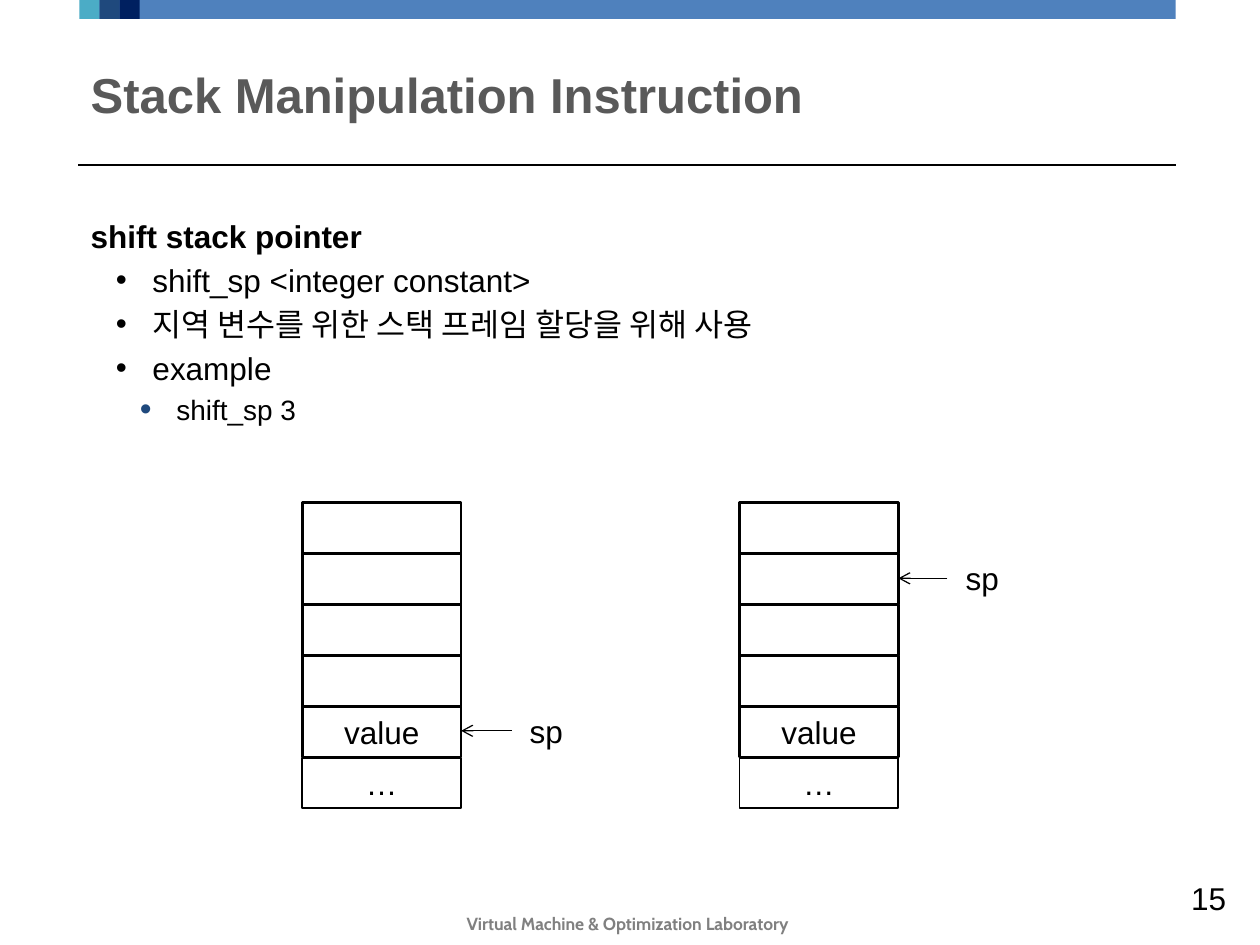
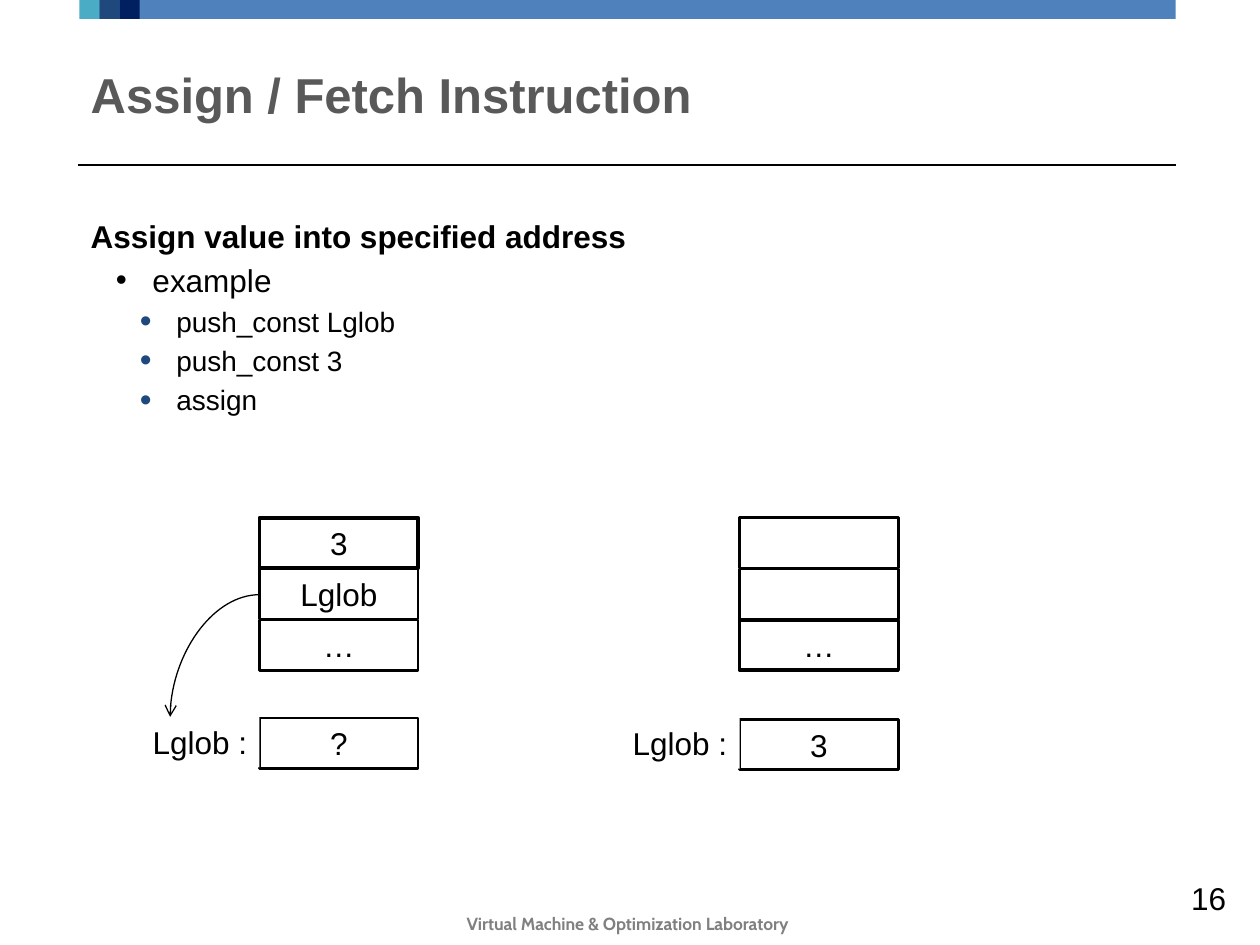
"""Build two slides on stack instructions, each with a list and stack diagrams."""
from dataclasses import dataclass

from lxml import etree
from pptx import Presentation
from pptx import util as u
from pptx.dml.color import RGBColor
from pptx.enum import shapes, text
from pptx.oxml import ns

BLACK = RGBColor(0x00, 0x00, 0x00)
WHITE = RGBColor(0xFF, 0xFF, 0xFF)
TITLE_GRAY = RGBColor(0x59, 0x59, 0x59)
FOOTER_GRAY = RGBColor(0x80, 0x80, 0x80)
BAND_BLUE = RGBColor(0x4F, 0x81, 0xBD)
TEAL = RGBColor(0x4B, 0xAC, 0xC6)
BLUE = RGBColor(0x1F, 0x49, 0x7D)
NAVY = RGBColor(0x00, 0x20, 0x60)

BODY_FONT, FOOTER_FONT = "Arial", "Cabin"
COLUMNS = 100
MARGIN, CONTENT_WIDTH = 6.2, 87.1
BAND_TOP, BAND_SIZE = -0.1, 1.6
CELL_WIDTH, CELL_HEIGHT, CELL_PITCH = 12.6, 4, 4.05
LEFT, CENTER, RIGHT = text.PP_ALIGN.LEFT, text.PP_ALIGN.CENTER, text.PP_ALIGN.RIGHT

presentation = Presentation()
presentation.slide_width, presentation.slide_height = u.Inches(10), u.Inches(7.5)
UNIT = presentation.slide_width / COLUMNS


@dataclass(frozen=True)
class Level:
    """Look of one list level, with lengths in grid columns."""
    margin: float
    indent: float
    size: int
    bold: bool = False
    bullet_color: RGBColor | None = None
    bullet_percent: int = 100


@dataclass(frozen=True)
class Cell:
    """One cell of a stack."""
    label: str = ""
    weight: float = 1.5


@dataclass(frozen=True)
class Stack:
    """Cells listed from top to bottom."""
    left: float
    top: float
    cells: tuple[Cell, ...]


@dataclass(frozen=True)
class Label:
    """A white box of text without an outline."""
    left: float
    top: float
    width: float
    words: str
    align: text.PP_ALIGN = CENTER


@dataclass(frozen=True)
class Arrow:
    """An arrow between two grid points."""
    start: tuple[float, float]
    end: tuple[float, float]
    curved: bool = False


@dataclass(frozen=True)
class Page:
    """Everything that differs between the slides."""
    number: int
    title: str
    items: tuple[tuple[int, str], ...]
    stacks: tuple[Stack, ...]
    labels: tuple[Label, ...]
    arrows: tuple[Arrow, ...]


LEVELS = (
    Level(0, 0, 18, bold=True),
    Level(4.9, -2.9, 18, bullet_color=BLACK),
    Level(6.8, -2.9, 16, bullet_color=BLUE, bullet_percent=120),
)


def grid(*counts: float) -> list[u.Emu]:
    """Turn counts of grid columns or rows into lengths."""
    return [u.Emu(round(count * UNIT)) for count in counts]


def add_run(paragraph, words: str, size: float, color: RGBColor = BLACK,
            bold: bool = False, font: str = BODY_FONT) -> None:
    """Append one formatted run."""
    run = paragraph.add_run()
    run.text = words
    run.font.name, run.font.size, run.font.bold = font, u.Pt(size), bold
    run.font.color.rgb = color


def add_box(parent, left: float, top: float, width: float, height: float,
            fill: RGBColor = WHITE, weight: float = 0, words: str = "",
            align: text.PP_ALIGN = CENTER) -> None:
    """Draw a flat rectangle, outlined and lettered on demand."""
    shape = parent.add_shape(shapes.MSO_SHAPE.RECTANGLE, *grid(left, top, width, height))
    shape.shadow.inherit = False
    shape.fill.solid()
    shape.fill.fore_color.rgb = fill
    if weight:
        shape.line.color.rgb, shape.line.width = BLACK, u.Pt(weight)
    else:
        shape.line.fill.background()
    if words:
        frame = shape.text_frame
        frame.vertical_anchor = text.MSO_ANCHOR.TOP
        frame.paragraphs[0].alignment = align
        add_run(frame.paragraphs[0], words, 18)


def add_line(slide, start: tuple[float, float], end: tuple[float, float],
             curved: bool = False, arrow: bool = False) -> None:
    """Draw a thin black line, curve or arrow."""
    kind = shapes.MSO_CONNECTOR.CURVE if curved else shapes.MSO_CONNECTOR.STRAIGHT
    connector = slide.shapes.add_connector(kind, *grid(*start, *end))
    connector.line.color.rgb, connector.line.width = BLACK, u.Pt(0.75)
    properties = connector._element.spPr
    if curved:
        properties.find(ns.qn("a:prstGeom")).set("prst", "curvedConnector2")
    if arrow:
        etree.SubElement(connector.line._get_or_add_ln(), ns.qn("a:tailEnd"), type="arrow")
    etree.SubElement(properties, ns.qn("a:effectLst"))


def add_text(slide, left: float, top: float, width: float, height: float, words: str,
             size: float, align: text.PP_ALIGN, wrap: bool = True, **style) -> None:
    """Write a single line in a text box."""
    frame = slide.shapes.add_textbox(*grid(left, top, width, height)).text_frame
    frame.word_wrap = wrap
    frame.paragraphs[0].alignment = align
    add_run(frame.paragraphs[0], words, size, **style)


def place(shape, top: float, height: float, anchor: text.MSO_ANCHOR):
    """Fit a placeholder to the content width and return its text frame."""
    shape.left, shape.top, shape.width, shape.height = grid(
        MARGIN, top, CONTENT_WIDTH, height)
    frame = shape.text_frame
    frame.auto_size, frame.word_wrap = text.MSO_AUTO_SIZE.NONE, True
    frame.vertical_anchor = anchor
    return frame


def format_level(paragraph, depth: int) -> None:
    """Apply indents, spacing and bullet of a list level."""
    level = LEVELS[depth]
    paragraph.level = depth
    paragraph.alignment = LEFT
    paragraph.space_before = u.Pt(0.2 * level.size)
    properties = paragraph._p.get_or_add_pPr()
    margin, indent = grid(level.margin, level.indent)
    properties.set("marL", str(margin))
    properties.set("indent", str(indent))
    if level.bullet_color is None:
        etree.SubElement(properties, ns.qn("a:buNone"))
        return
    color = etree.SubElement(properties, ns.qn("a:buClr"))
    etree.SubElement(color, ns.qn("a:srgbClr"), val=str(level.bullet_color))
    etree.SubElement(properties, ns.qn("a:buSzPct"), val=str(level.bullet_percent * 1000))
    etree.SubElement(properties, ns.qn("a:buFont"), typeface=BODY_FONT)
    etree.SubElement(properties, ns.qn("a:buChar"), char="•")


def add_frame(slide, number: int) -> None:
    """Draw the band, rule, footer and page number."""
    add_box(slide.shapes, 6.5, BAND_TOP, 86.8, BAND_SIZE, BAND_BLUE)
    for position, color in enumerate((TEAL, BLUE, NAVY)):
        add_box(slide.shapes, 6.3 + position * BAND_SIZE, BAND_TOP, BAND_SIZE, BAND_SIZE, color)
    add_line(slide, (MARGIN, 13.1), (MARGIN + CONTENT_WIDTH, 13.1))
    add_text(slide, 29.3, 72, 41, 2.7, "Virtual Machine & Optimization Laboratory", 10,
             CENTER, color=FOOTER_GRAY, bold=True, font=FOOTER_FONT)
    add_text(slide, 93.3, 69.3, 5, 4, str(number), 18, RIGHT, wrap=False)


def add_stack(slide, stack: Stack) -> None:
    """Draw a stack as one group, from the bottom cell up."""
    group = slide.shapes.add_group_shape()
    for row, cell in reversed(list(enumerate(stack.cells))):
        add_box(group.shapes, stack.left, stack.top + row * CELL_PITCH, CELL_WIDTH,
                CELL_HEIGHT, weight=cell.weight, words=cell.label)


def add_page(page: Page) -> None:
    """Build one slide."""
    slide = presentation.slides.add_slide(presentation.slide_layouts[1])
    add_frame(slide, page.number)
    title = place(slide.shapes.title, 3.7, 7.5, text.MSO_ANCHOR.MIDDLE).paragraphs[0]
    title.alignment = LEFT
    add_run(title, page.title, 28, TITLE_GRAY, bold=True)
    body = place(slide.placeholders[1], 16.7, 53.3, text.MSO_ANCHOR.TOP)
    for position, (depth, words) in enumerate(page.items):
        paragraph = body.add_paragraph() if position else body.paragraphs[0]
        format_level(paragraph, depth)
        add_run(paragraph, words, LEVELS[depth].size, bold=LEVELS[depth].bold)
    for stack in page.stacks:
        add_stack(slide, stack)
    for label in page.labels:
        add_box(slide.shapes, label.left, label.top, label.width, CELL_HEIGHT,
                words=label.words, align=label.align)
    for arrow in page.arrows:
        add_line(slide, arrow.start, arrow.end, arrow.curved, arrow=True)


FRAME_CELLS = (Cell(),) * 4 + (Cell("value"), Cell("…", 1))

PAGES = (
    Page(
        15, "Stack Manipulation Instruction",
        ((0, "shift stack pointer"), (1, "shift_sp <integer constant>"),
         (1, "지역 변수를 위한 스택 프레임 할당을 위해 사용"),
         (1, "example"), (2, "shift_sp 3")),
        (Stack(24, 39.9, FRAME_CELLS), Stack(58.7, 39.9, FRAME_CELLS)),
        (Label(40.6, 56, 5.5, "sp"), Label(75.2, 43.9, 5.5, "sp")),
        (Arrow((40.6, 58), (36.6, 58)), Arrow((75.2, 45.9), (71.3, 45.9))),
    ),
    Page(
        16, "Assign / Fetch Instruction",
        ((0, "Assign value into specified address"), (1, "example"),
         (2, "push_const Lglob"), (2, "push_const 3"), (2, "assign")),
        (Stack(20.6, 41.1, (Cell("3", 2), Cell("Lglob"), Cell("…"))),
         Stack(58.7, 41.1, (Cell(), Cell(), Cell("…", 2))),
         Stack(20.6, 57, (Cell("?"),)), Stack(58.7, 57.1, (Cell("3"),))),
        (Label(6.5, 56.9, 14.1, "Lglob :", RIGHT),
         Label(44.6, 57, 14.1, "Lglob :", RIGHT)),
        (Arrow((20.6, 47.2), (13.5, 56.9), curved=True),),
    ),
)

for page in PAGES:
    add_page(page)
presentation.save("out.pptx")
